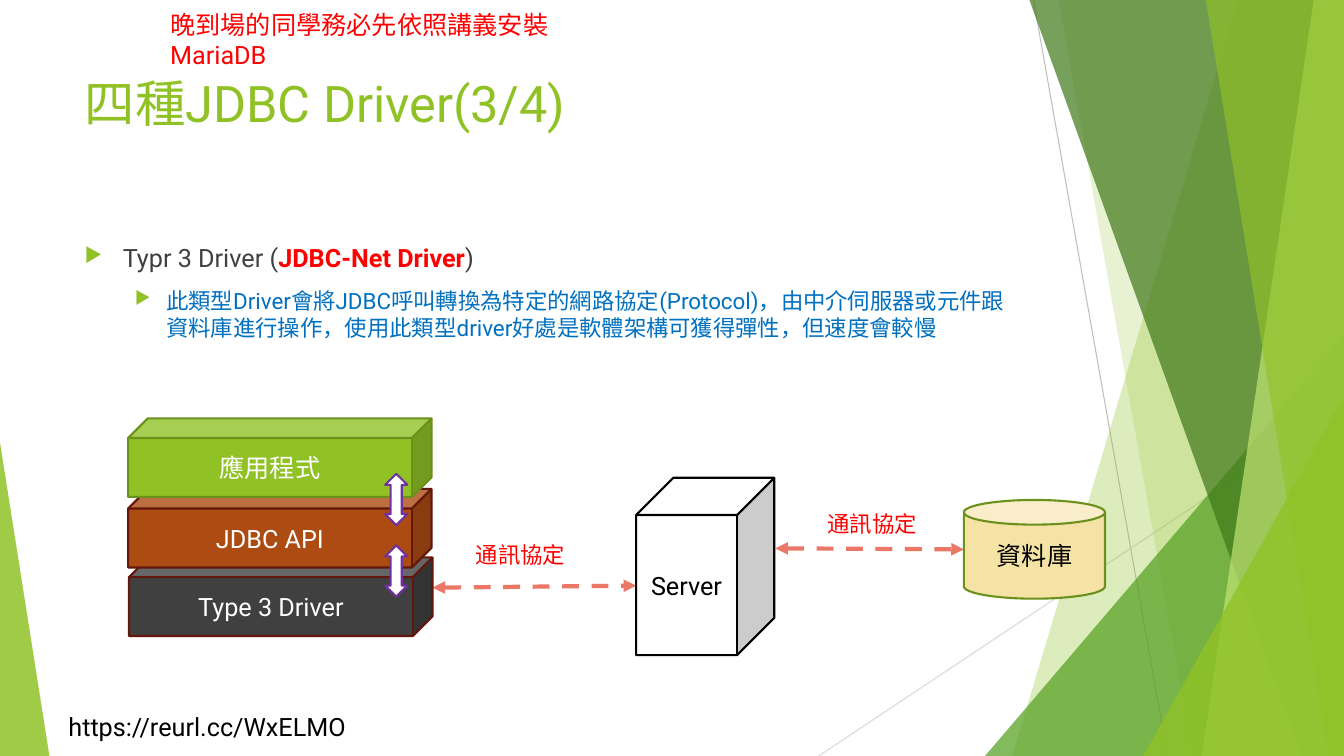
from lxml.etree import SubElement
from pptx import Presentation
from pptx.dml.color import RGBColor
from pptx.enum.dml import MSO_LINE
from pptx.enum.shapes import MSO_CONNECTOR, MSO_SHAPE
from pptx.enum.text import MSO_ANCHOR, PP_ALIGN
from pptx.oxml.ns import qn
from pptx.util import Inches, Pt

GREEN, OLIVE, MAROON = "90C226", "6B901C", "62170D"
RED, BLACK, WHITE = "FF0000", "000000", "FFFFFF"
WIDTH, HEIGHT = 13.33, 7.5


def color(value):
    return RGBColor.from_string(value)


class SlideBuilder:
    font = "Roboto"

    def __init__(self, page):
        self.page = page

    def span(self, para, text, size, text_color, bold=False):
        run = para.add_run()
        run.text = text
        run.font.name = self.font
        run.font.size = Pt(size)
        run.font.bold = bold
        run.font.color.rgb = color(text_color)

    def paint(self, shape, fill, alpha=100, line=None):
        shape.shadow.inherit = False
        shape.fill.solid()
        shape.fill.fore_color.rgb = color(fill)
        if alpha < 100:
            solid = shape.fill._xPr.find(qn("a:solidFill"))
            SubElement(solid[0], qn("a:alpha"), val=str(alpha * 1000))
        if line:
            shape.line.color.rgb = color(line)
            shape.line.width = Pt(1.5)
        else:
            shape.line.fill.background()

    def shape(self, kind, place, fill, alpha=100, line=None, adjust=None):
        shape = self.page.shapes.add_shape(kind, *map(Inches, place))
        self.paint(shape, fill, alpha, line)
        if adjust is not None:
            shape.adjustments[0] = adjust
        return shape

    def block(self, kind, place, text, fill, line, text_color, adjust=None):
        block = self.shape(kind, place, fill, line=line, adjust=adjust)
        block.text_frame.vertical_anchor = MSO_ANCHOR.MIDDLE
        para = block.text_frame.paragraphs[0]
        para.alignment = PP_ALIGN.CENTER
        self.span(para, text, 18, text_color)

    def facet(self, top_x, bottom_x, fill, alpha):
        points = [(top_x, 0), (WIDTH, 0), (WIDTH, HEIGHT), (bottom_x, HEIGHT)]
        corners = [(Inches(x), Inches(y)) for x, y in points]
        builder = self.page.shapes.build_freeform(*corners[0])
        builder.add_line_segments(corners[1:], close=True)
        self.paint(builder.convert_to_shape(), fill, alpha)

    def text_box(self, place, wrap=False):
        box = self.page.shapes.add_textbox(*map(Inches, place))
        box.text_frame.word_wrap = wrap
        return box

    def label(self, place, text, size, text_color, fill=None, wrap=False):
        box = self.text_box(place, wrap)
        if fill:
            self.paint(box, fill)
        self.span(box.text_frame.paragraphs[0], text, size, text_color)
        return box

    def title(self, place, text):
        title = self.page.shapes.title
        title.left, title.top, title.width, title.height = map(Inches, place)
        title.text_frame.vertical_anchor = MSO_ANCHOR.TOP
        para = title.text_frame.paragraphs[0]
        para.alignment = PP_ALIGN.LEFT
        self.span(para, text, 36, GREEN)

    def bullet(self, para, margin, hanging):
        props = para._p.get_or_add_pPr()
        props.set("marL", str(Inches(margin)))
        props.set("indent", str(-Inches(hanging)))
        bullet_color = SubElement(props, qn("a:buClr"))
        SubElement(bullet_color, qn("a:srgbClr"), val=GREEN)
        SubElement(props, qn("a:buSzPct"), val="80000")
        SubElement(props, qn("a:buChar"), char="▶")

    def line(self, start, end, line_color, width, arrows=False):
        line = self.page.shapes.add_connector(
            MSO_CONNECTOR.STRAIGHT, *map(Inches, start + end))
        line.line.color.rgb = color(line_color)
        line.line.width = Pt(width)
        if arrows:
            line.line.dash_style = MSO_LINE.DASH
            outline = line.line._get_or_add_ln()
            for tag in ("a:headEnd", "a:tailEnd"):
                SubElement(outline, qn(tag), type="triangle")
        SubElement(line._element.spPr, qn("a:effectLst"))


def main():
    deck = Presentation()
    deck.slide_width, deck.slide_height = Inches(WIDTH), Inches(HEIGHT)
    page = deck.slides.add_slide(deck.slide_layouts[5])
    build = SlideBuilder(page)

    # Background facets
    triangle = MSO_SHAPE.ISOSCELES_TRIANGLE
    build.line((10.25, 0), (11.58, HEIGHT), "BFBFBF", 0.75)
    build.line((WIDTH, 4.03), (8.12, HEIGHT), "D9D9D9", 0.75)
    build.facet(12.28, 10.04, GREEN, 30)
    build.facet(10.5, 11.83, GREEN, 20)
    build.shape(triangle, (9.77, 3.33, 3.56, 4.17), "54A021", 72, adjust=1)
    build.facet(10.21, 12.91, "3F7819", 70)
    build.facet(13.03, 11.92, "C0E474", 70)
    build.facet(11.96, 13.18, GREEN, 65)
    build.shape(triangle, (11.34, 3.93, 1.99, 3.57), GREEN, 80, adjust=1)
    build.shape(triangle, (0, 4.39, 0.49, 3.11), GREEN, 85, adjust=0)

    # Notices and title
    build.label((0.58, 7.01, 3.12, 0.4), "https://reurl.cc/WxELMO", 18, BLACK)
    notice = build.label((1.59, 0.04, 4.9, 0.4),
                         "晚到場的同學務必先依照講義安裝MariaDB", 18, RED, wrap=True)
    notice.text_frame.margin_right = Inches(0.3)
    build.title((0.74, 0.67, 9.4, 1.44), "四種JDBC Driver(3/4)")

    # Body text
    body = build.text_box((0.74, 2.36, 9.4, 4.24), wrap=True).text_frame
    para = body.paragraphs[0]
    build.bullet(para, 0.38, 0.38)
    build.span(para, "Typr 3 Driver (", 18, "404040")
    build.span(para, "JDBC-Net Driver", 18, RED, bold=True)
    build.span(para, ")", 18, "404040")
    para = body.add_paragraph()
    build.bullet(para, 0.81, 0.31)
    para.level = 1
    para.space_before = Pt(10)
    build.span(para, "此類型Driver會將JDBC呼叫轉換為特定的網路協定(Protocol)，"
               "由中介伺服器或元件跟資料庫進行操作，使用此類型driver好處是"
               "軟體架構可獲得彈性，但速度會較慢", 16, "0070C0")

    # Protocol labels and links
    for left, top in ((4.62, 5.32), (8.11, 5.01)):
        build.label((left, top, 1.1, 0.37), "通訊協定", 16, RED, WHITE)
    build.line((4.29, 5.83), (6.31, 5.81), "EB7766", 3, arrows=True)
    build.line((7.69, 5.44), (9.56, 5.45), "EB7766", 3, arrows=True)

    # Driver stack, lowest layer first
    layers = [(1.28, 5.53, "Type 3 Driver", "404040", MAROON),
              (1.27, 4.85, "JDBC API", "AD4C12", MAROON),
              (1.27, 4.15, "應用程式", GREEN, OLIVE)]
    for left, top, text, fill, edge in layers:
        build.block(MSO_SHAPE.CUBE, (left, top, 3.01, 0.78), text, fill, edge, WHITE)
    for top in (5.41, 4.7):
        build.shape(MSO_SHAPE.UP_DOWN_ARROW, (3.82, top, 0.22, 0.51), WHITE, line="7030A0")

    # Server and database
    build.block(MSO_SHAPE.CUBE, (6.31, 4.74, 1.37, 1.76), "Server",
                WHITE, BLACK, BLACK, adjust=0.27)
    build.block(MSO_SHAPE.CAN, (9.56, 4.96, 1.4, 0.98), "資料庫", "F5E3A5", OLIVE, BLACK)

    deck.save("out.pptx")


if __name__ == "__main__":
    main()
